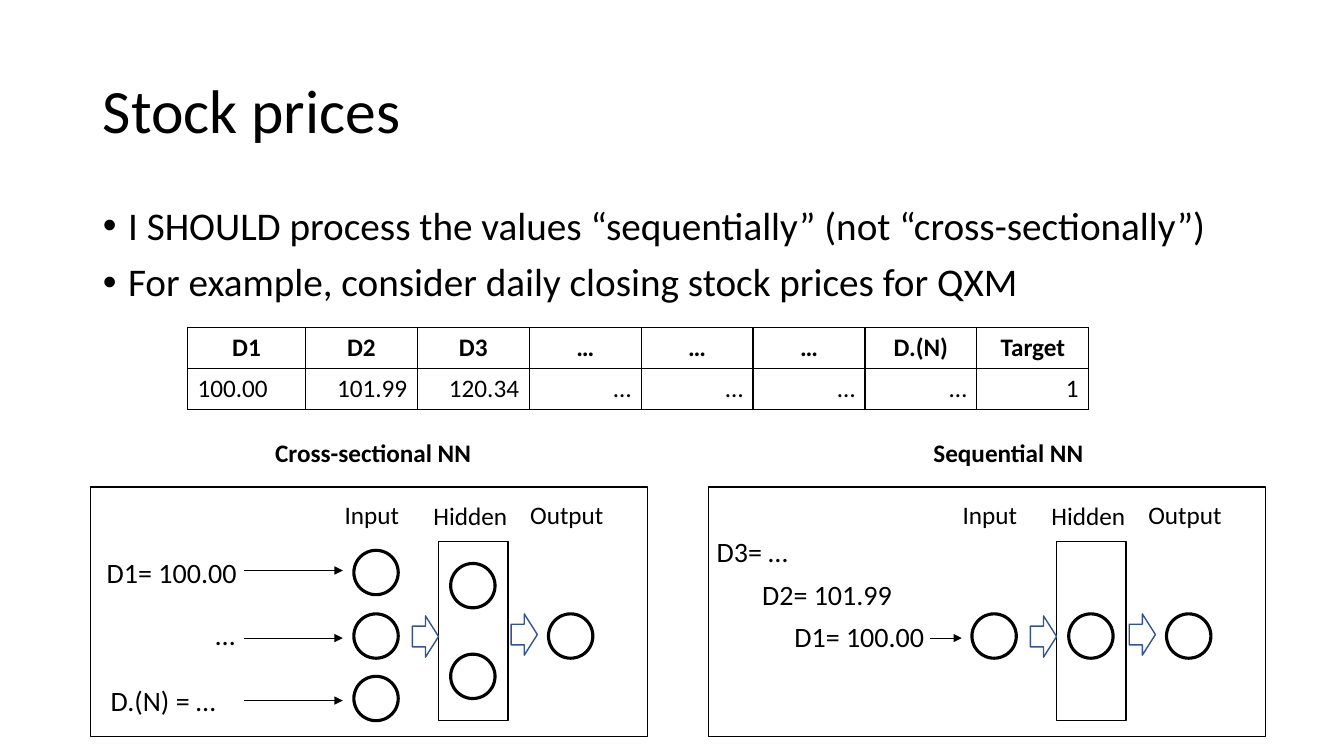
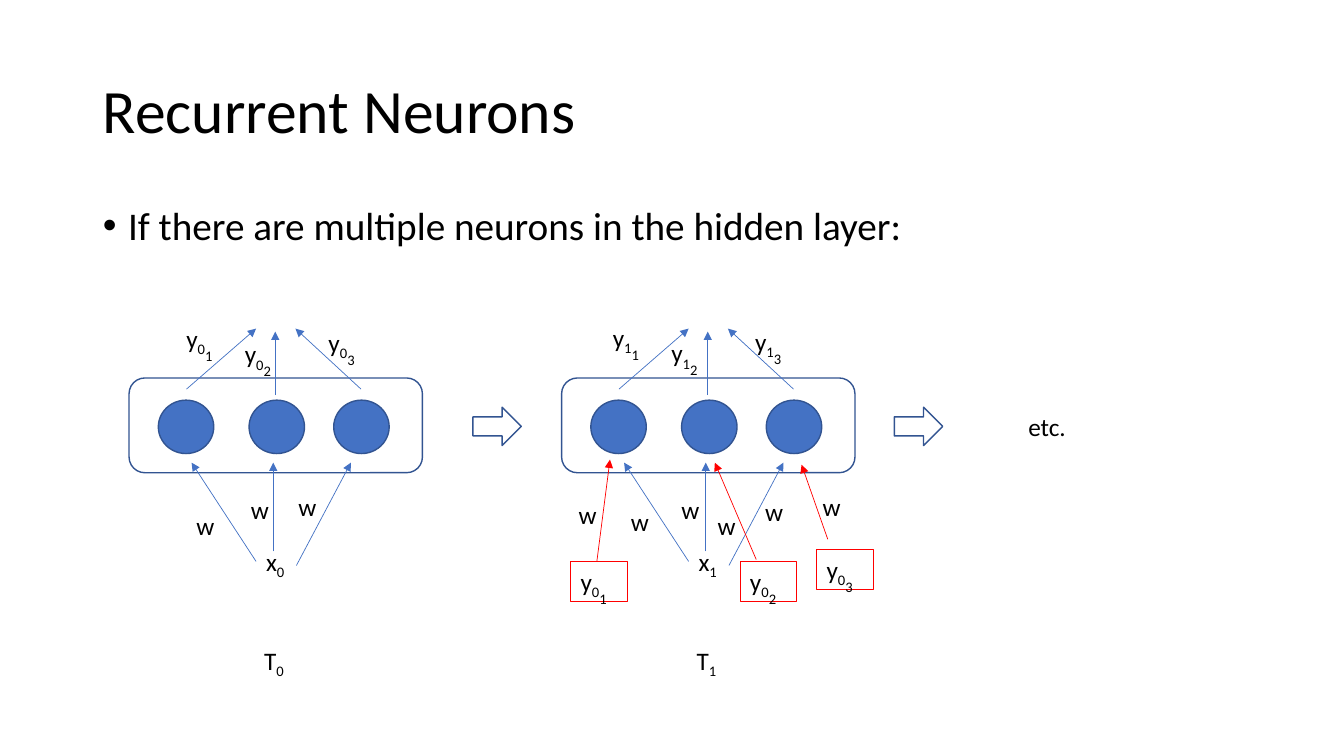
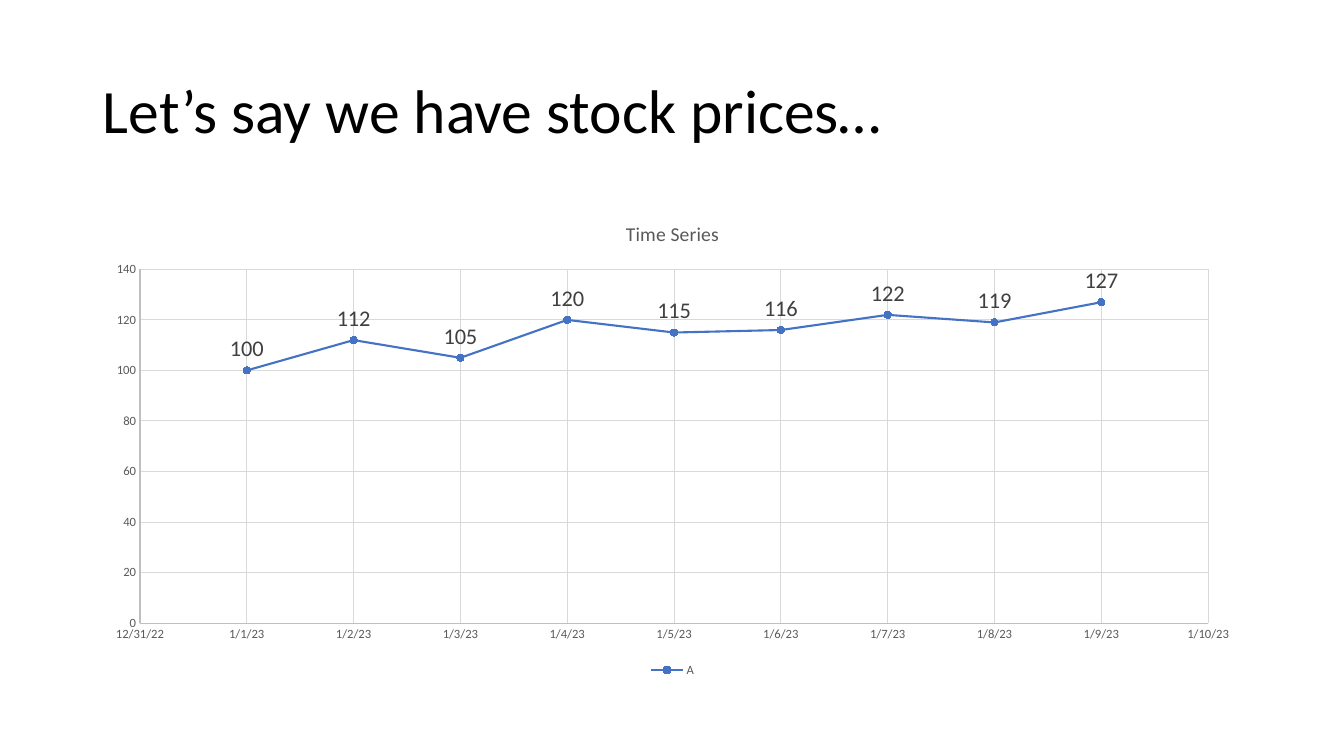
from pptx import Presentation
from pptx.chart.data import XyChartData
from pptx.dml.color import RGBColor
from pptx.enum.chart import XL_CHART_TYPE, XL_LABEL_POSITION, XL_LEGEND_POSITION, XL_MARKER_STYLE, XL_TICK_MARK
from pptx.enum.shapes import MSO_CONNECTOR, MSO_SHAPE
from pptx.enum.text import MSO_ANCHOR, MSO_AUTO_SIZE, PP_ALIGN
from pptx.oxml import parse_xml
from pptx.oxml.ns import nsdecls
from pptx.util import Inches, Pt

LEFT, CENTER, RIGHT = PP_ALIGN.LEFT, PP_ALIGN.CENTER, PP_ALIGN.RIGHT
CIRCLE, BOX = MSO_SHAPE.OVAL, MSO_SHAPE.RECTANGLE
ROUNDED, BLOCK_ARROW = MSO_SHAPE.ROUNDED_RECTANGLE, MSO_SHAPE.RIGHT_ARROW

BLACK = RGBColor(0x00, 0x00, 0x00)
WHITE = RGBColor(0xFF, 0xFF, 0xFF)
BLUE = RGBColor(0x44, 0x72, 0xC4)
NAVY = RGBColor(0x32, 0x54, 0x91)
RED = RGBColor(0xFF, 0x00, 0x00)
LABEL_GRAY = RGBColor(0x40, 0x40, 0x40)
TEXT_GRAY = RGBColor(0x59, 0x59, 0x59)
AXIS_GRAY = RGBColor(0xBF, 0xBF, 0xBF)
GRID_GRAY = RGBColor(0xD9, 0xD9, 0xD9)
FONT = "Calibri"
TITLE_AREA = (0.92, 0.4, 11.5, 1.45)
BODY_AREA = (0.92, 2, 11.5, 4.76)

# Stock prices: table and two networks
PRICE_BULLETS = [
    "I SHOULD process the values “sequentially” (not “cross-sectionally”)",
    "For example, consider daily closing stock prices for QXM",
]
PRICE_ROWS = [
    ["D1", "D2", "D3", "…", "…", "…", "D.(N)", "Target"],
    ["100.00", "101.99", "120.34", "…", "…", "…", "…", "1"],
]
PRICE_AREA = (1.86, 3.25, 8.95, 0.81)
PRICE_COLUMNS = [1.17] + [1.11] * 7
NODE = 0.44
LAYER_NAMES = [("Input", 3.32, 4.9, 0.77), ("Hidden", 4.2, 4.91, 0.95), ("Output", 5.16, 4.9, 0.95)]
# Inputs: text, left, top, width, alignment; arrows: start, end, height
NETWORKS = [
    dict(shift=0, heading=("Cross-sectional NN", 2.63, 2.31),
         input_tops=[5.46, 6.09, 6.71], hidden_tops=[5.59, 6.49],
         inputs=[("D1= 100.00", 0.96, 5.46, 1.73, LEFT), ("…", 0.75, 6.08, 1.68, RIGHT),
                 ("D.(N) = …", 1, 6.73, 1.73, LEFT)],
         arrows=[(2.42, 3.4, 5.66), (2.42, 3.4, 6.33), (2.42, 3.4, 6.95)]),
    dict(shift=6.13, heading=("Sequential NN", 9.16, 1.83),
         input_tops=[6.09], hidden_tops=[6.09],
         inputs=[("D1= 100.00", 7.78, 6.1, 1.73, LEFT), ("D2= 101.99", 7.46, 5.68, 1.73, LEFT),
                 ("D3= …", 7.01, 5.25, 1.73, LEFT)],
         arrows=[(9.22, 9.54, 6.33)]),
]

# Recurrent neurons: one layer, drawn once per time step
NEURON_BULLETS = ["If there are multiple neurons in the hidden layer:"]
STEP_SHIFT = 4.29
NEURON_LEFTS = [1.57, 2.47, 3.31]
LAYER_ARROWS = [
    (2.54, 5.57, 1.9, 4.59), (2.71, 5.47, 2.71, 4.59), (2.94, 5.61, 3.48, 4.59),
    (1.85, 3.86, 2.54, 3.26), (2.73, 3.92, 2.73, 3.29), (3.58, 3.86, 2.93, 3.26),
]
OUTPUT_LABELS = [(1.75, 3.16), (2.33, 3.31), (3.16, 3.2)]
OUTPUT_SHIFTS = [(0, 0), (4.23, -0.01)]
FEEDBACK_BOXES = [(5.66, 5.57), (7.34, 5.57), (8.1, 5.45)]
FEEDBACK_ARROWS = [(5.92, 5.57, 6.05, 4.56), (7.5, 5.55, 7.09, 4.59), (8.21, 5.35, 7.95, 4.61)]
STEP_ARROW_LEFTS = [4.69, 8.87]
WEIGHTS = [
    (1.85, 5.01), (2.39, 4.86), (2.86, 4.83), (5.64, 4.9), (6.16, 4.97),
    (6.66, 4.85), (7.02, 5.01), (7.49, 4.87), (8.06, 4.83),
]

# Time series: day serial numbers start at 1/1/23
FIRST_DAY = 44927
PRICES = [100, 112, 105, 120, 115, 116, 122, 119, 127]


def apply(target, **values):
    for name, value in values.items():
        setattr(target, name, value)


def style_font(font, size, color=BLACK, bold=False):
    apply(font, name=FONT, size=Pt(size), bold=bold)
    font.color.rgb = color


def style_line(line, color, width):
    line.color.rgb = color
    line.width = Pt(width)


def place(shape, area):
    apply(shape, **dict(zip(("left", "top", "width", "height"), map(Inches, area))))


def write(para, parts, size, bold=False):
    """Each part after the first sits one step lower, as a subscript."""
    for depth, text in enumerate(parts):
        span = para.add_run()
        span.text = text
        style_font(span.font, size, bold=bold)
        if depth:
            span.font._element.set("baseline", str(-25000 * depth))


def add_slide(deck, title, bullets=()):
    page = deck.slides.add_slide(deck.slide_layouts[1 if bullets else 5])
    heading = page.shapes.title
    place(heading, TITLE_AREA)
    apply(heading.text_frame, vertical_anchor=MSO_ANCHOR.MIDDLE, auto_size=MSO_AUTO_SIZE.NONE)
    para = heading.text_frame.paragraphs[0]
    apply(para, alignment=LEFT, line_spacing=0.9)
    write(para, [title], 44)
    if bullets:
        body = page.placeholders[1]
        place(body, BODY_AREA)
        frame = body.text_frame
        frame.auto_size = MSO_AUTO_SIZE.NONE
        for index, bullet in enumerate(bullets):
            para = frame.add_paragraph() if index else frame.paragraphs[0]
            apply(para, line_spacing=0.9, space_before=Pt(10))
            settings = para._p.get_or_add_pPr()
            settings.set("marL", str(Inches(0.25)))
            settings.set("indent", str(-Inches(0.25)))
            write(para, [bullet], 28)
    return page


def add_label(page, parts, area, size=18, bold=False, align=LEFT):
    box = page.shapes.add_textbox(*map(Inches, area))
    box.text_frame.word_wrap = True
    para = box.text_frame.paragraphs[0]
    para.alignment = align
    write(para, parts, size, bold)


def add_figure(page, kind, area, line_color, width=1, fill=None):
    figure = page.shapes.add_shape(kind, *map(Inches, area))
    figure.shadow.inherit = False
    style_line(figure.line, line_color, width)
    if fill is None:
        figure.fill.background()
    else:
        figure.fill.solid()
        figure.fill.fore_color.rgb = fill
    return figure


def add_arrow(page, start_x, start_y, end_x, end_y, color):
    ends = map(Inches, (start_x, start_y, end_x, end_y))
    arrow = page.shapes.add_connector(MSO_CONNECTOR.STRAIGHT, *ends)
    style_line(arrow.line, color, 0.5)
    arrow.line._get_or_add_ln().append(parse_xml(f'<a:tailEnd {nsdecls("a")} type="triangle"/>'))
    arrow._element.spPr.append(parse_xml(f'<a:effectLst {nsdecls("a")}/>'))


def add_price_table(page):
    frame = page.shapes.add_table(len(PRICE_ROWS), len(PRICE_COLUMNS), *map(Inches, PRICE_AREA))
    table = frame.table
    for column, width in zip(table.columns, PRICE_COLUMNS):
        column.width = Inches(width)
    for row_index, row in enumerate(PRICE_ROWS):
        for column_index, text in enumerate(row):
            cell = table.cell(row_index, column_index)
            para = cell.text_frame.paragraphs[0]
            header = row_index == 0
            para.alignment = CENTER if header else RIGHT if column_index else LEFT
            write(para, [text], 18, bold=header)
            settings = cell._tc.get_or_add_tcPr()
            for side in ("lnL", "lnR", "lnT", "lnB"):
                settings.append(parse_xml(
                    f'<a:{side} {nsdecls("a")} w="{Pt(1)}"><a:solidFill>'
                    f'<a:srgbClr val="{BLACK}"/></a:solidFill></a:{side}>'))
            cell.fill.background()


def add_network(page, network):
    shift = network["shift"]
    text, left, width = network["heading"]
    add_label(page, [text], (left, 4.29, width, 0.4), bold=True)
    add_figure(page, BOX, (0.9 + shift, 4.83, 5.52, 2.48), BLACK)
    add_figure(page, BOX, (4.35 + shift, 5.37, 0.69, 1.78), BLACK)
    for left, tops in ((3.51, network["input_tops"]), (4.47, network["hidden_tops"]), (5.44, [6.09])):
        for top in tops:
            add_figure(page, CIRCLE, (left + shift, top, NODE, NODE), BLACK, 2.25, WHITE)
    for left, top in ((4.09, 6.11), (5.07, 6.09)):
        add_figure(page, BLOCK_ARROW, (left + shift, top, 0.26, 0.41), NAVY)
    for name, left, top, width in LAYER_NAMES:
        add_label(page, [name], (left + shift, top, width, 0.4))
    for text, left, top, width, align in network["inputs"]:
        add_label(page, [text], (left, top, width, 0.44), 20, align=align)
    for start, end, height in network["arrows"]:
        add_arrow(page, start, height, end, height, BLACK)


def add_time_step(page, step):
    shift = step * STEP_SHIFT
    for left in NEURON_LEFTS:
        add_figure(page, CIRCLE, (left + shift, 3.97, 0.55, 0.53), NAVY, fill=BLUE)
    add_figure(page, ROUNDED, (1.28 + shift, 3.75, 2.91, 0.94), NAVY)
    add_label(page, ["x", str(step)], (2.54 + shift, 5.37, 0.48, 0.4))
    add_label(page, ["T", str(step)], (2.52 + shift, 6.35, 0.48, 0.4))
    for start_x, start_y, end_x, end_y in LAYER_ARROWS:
        add_arrow(page, start_x + shift, start_y, end_x + shift, end_y, BLUE)
    across, down = OUTPUT_SHIFTS[step]
    for number, (left, top) in enumerate(OUTPUT_LABELS, 1):
        add_label(page, ["y", str(step), str(number)], (left + across, top + down, 0.56, 0.4))


def add_feedback(page):
    for number, ((left, top), ends) in enumerate(zip(FEEDBACK_BOXES, FEEDBACK_ARROWS), 1):
        box = add_figure(page, BOX, (left, top, 0.56, 0.4), RED, 0.75)
        apply(box.text_frame, word_wrap=True, vertical_anchor=MSO_ANCHOR.TOP)
        para = box.text_frame.paragraphs[0]
        para.alignment = LEFT
        write(para, ["y", "0", str(number)], 18)
        add_arrow(page, *ends, RED)


def add_price_chart(page):
    data = XyChartData()
    points = data.add_series("A")
    for day, price in enumerate(PRICES, FIRST_DAY):
        points.add_data_point(day, price)
    frame = page.shapes.add_chart(XL_CHART_TYPE.XY_SCATTER_LINES, *map(Inches, BODY_AREA), data)
    chart = frame.chart
    style_font(chart.font, 10)
    chart.has_title = True
    para = chart.chart_title.text_frame.paragraphs[0]
    span = para.add_run()
    span.text = "Time Series"
    style_font(span.font, 14, TEXT_GRAY)
    chart.has_legend = True
    apply(chart.legend, position=XL_LEGEND_POSITION.BOTTOM, include_in_layout=False)
    style_font(chart.legend.font, 9, TEXT_GRAY)

    # Axes: minimum, maximum, step, number format
    scales = [(chart.category_axis, FIRST_DAY - 1, FIRST_DAY + len(PRICES), 1, "m/d/yy"),
              (chart.value_axis, 0, 140, 20, "General")]
    for axis, low, high, step, number_format in scales:
        apply(axis, minimum_scale=low, maximum_scale=high, major_unit=step, has_major_gridlines=True,
              major_tick_mark=XL_TICK_MARK.NONE, minor_tick_mark=XL_TICK_MARK.NONE)
        apply(axis.tick_labels, number_format=number_format, number_format_is_linked=False)
        style_font(axis.tick_labels.font, 9, TEXT_GRAY)
        style_line(axis.format.line, AXIS_GRAY, 0.75)
        style_line(axis.major_gridlines.format.line, GRID_GRAY, 0.75)

    # Line, markers and value labels
    plot = chart.plots[0]
    plot.vary_by_categories = False
    series = plot.series[0]
    series.smooth = False
    style_line(series.format.line, BLUE, 1.5)
    apply(series.marker, style=XL_MARKER_STYLE.CIRCLE, size=5)
    series.marker.format.fill.solid()
    series.marker.format.fill.fore_color.rgb = BLUE
    style_line(series.marker.format.line, BLUE, 0.75)
    for index in range(len(PRICES)):
        label = series.points[index].data_label
        style_font(label.font, 16, LABEL_GRAY)
        label.position = XL_LABEL_POSITION.ABOVE


deck = Presentation()
apply(deck, slide_width=Inches(13.33), slide_height=Inches(7.5))

page = add_slide(deck, "Stock prices", PRICE_BULLETS)
add_price_table(page)
for network in NETWORKS:
    add_network(page, network)

page = add_slide(deck, "Recurrent Neurons", NEURON_BULLETS)
for step in range(len(OUTPUT_SHIFTS)):
    add_time_step(page, step)
add_feedback(page)
for left in STEP_ARROW_LEFTS:
    add_figure(page, BLOCK_ARROW, (left, 4.04, 0.48, 0.38), NAVY)
add_label(page, ["etc."], (10.1, 4.03, 0.99, 0.4))
for left, top in WEIGHTS:
    add_label(page, ["w"], (left, top, 0.28, 0.4))

page = add_slide(deck, "Let’s say we have stock prices…")
add_price_chart(page)

deck.save("out.pptx")
